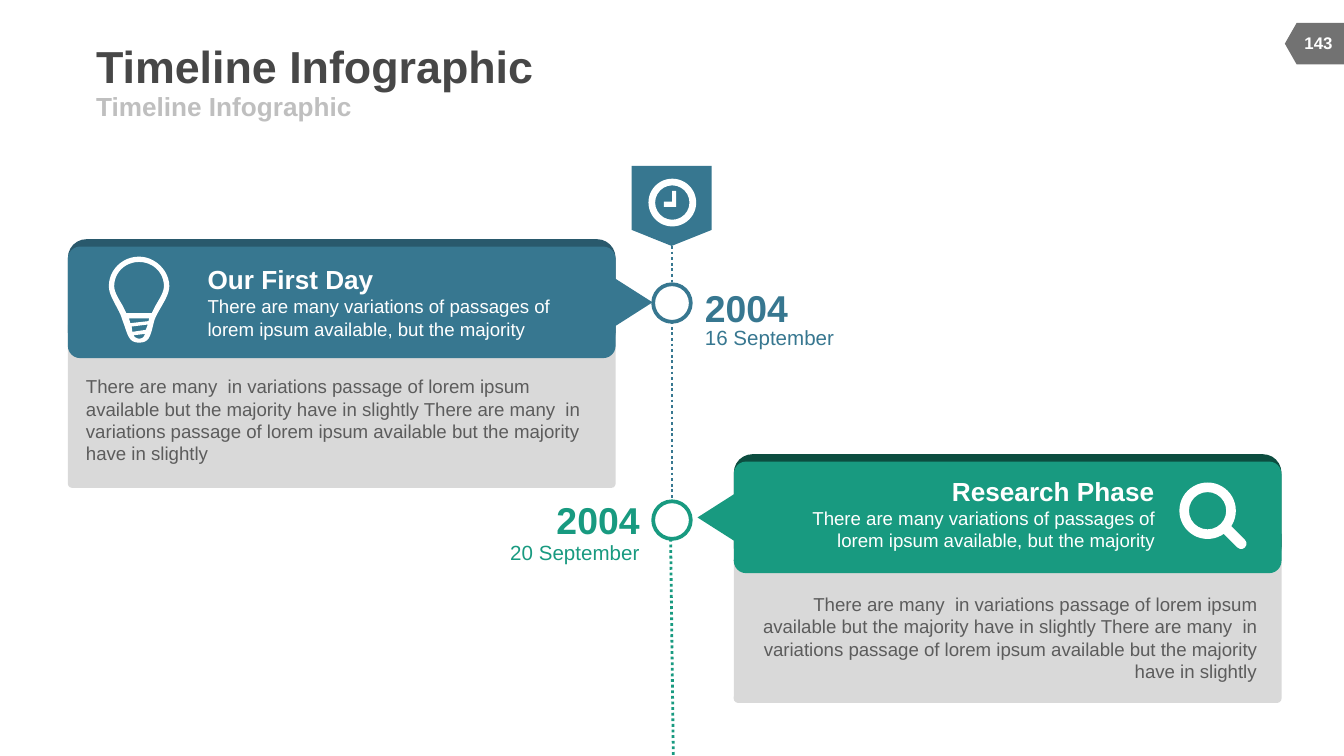
"""Build a timeline slide with two dated event cards on a dotted axis."""
from lxml import etree
from pptx import Presentation, util as u
from pptx.dml.color import RGBColor
from pptx.enum import dml, shapes, text
from pptx.oxml.ns import qn

COLORS = {
    "white": "FFFFFF", "title": "474747", "subtitle": "BFBFBF", "tag": "727272",
    "panel": "D9D9D9", "body": "5C5C5C",
    "blue": "377790", "blue_dark": "29596C", "green": "189A80", "green_dark": "0C4D40",
}
KIND = shapes.MSO_SHAPE
LEFT, CENTER, RIGHT = text.PP_ALIGN.LEFT, text.PP_ALIGN.CENTER, text.PP_ALIGN.RIGHT
TOP, MIDDLE = text.MSO_ANCHOR.TOP, text.MSO_ANCHOR.MIDDLE

deck = Presentation()
deck.slide_width = u.Inches(10)
deck.slide_height = deck.slide_width * 9 // 16
COL, ROW = deck.slide_width / 100, deck.slide_height / 56.25
slide = deck.slides.add_slide(deck.slide_layouts[6])


def draw(kind, x, y, w, h, fill, adjust=None, turn=0, outline=None):
    piece = slide.shapes.add_shape(kind, int(x * COL), int(y * ROW), int(w * COL), int(h * ROW))
    piece.shadow.inherit = False
    piece.rotation = turn
    piece.fill.solid()
    piece.fill.fore_color.rgb = RGBColor.from_string(COLORS[fill])
    if adjust is not None:
        piece.adjustments[0] = adjust
    if outline:
        piece.line.color.rgb = RGBColor.from_string(COLORS[outline])
        piece.line.width = u.Pt(2)
    else:
        piece.line.fill.background()


def write(words, x, y, w, h, size, color, bold=False, align=LEFT, anchor=MIDDLE, wrap=False):
    box = slide.shapes.add_textbox(int(x * COL), int(y * ROW), int(w * COL), int(h * ROW))
    frame = box.text_frame
    frame.margin_left = frame.margin_right = frame.margin_top = frame.margin_bottom = 0
    frame.word_wrap, frame.vertical_anchor = wrap, anchor
    frame.paragraphs[0].alignment = align
    run = frame.paragraphs[0].add_run()
    run.text = words
    run.font.name, run.font.size, run.font.bold = "Arial", u.Pt(size), bold
    run.font.color.rgb = RGBColor.from_string(COLORS[color])


draw(KIND.FLOWCHART_OFFPAGE_CONNECTOR, 96.25, 1.05, 3.1, 4.4, "tag", turn=90)
write("143", 96, 1.7, 4.2, 3, 9, "white", True, CENTER)
write("Timeline Infographic", 7.15, 2.9, 61.7, 3.9, 24, "title", True)
write("Timeline Infographic", 7.15, 6.8, 45, 2.2, 14, "subtitle", True)

for x1, y1, x2, y2, color in [(50, 18.3, 50, 21.2, "blue"), (50, 23.9, 50, 37.3, "blue"),
                              (49.9, 40.1, 50.1, 56.25, "green")]:
    axis = slide.shapes.add_connector(shapes.MSO_CONNECTOR.STRAIGHT, int(x1 * COL), int(y1 * ROW),
                                      int(x2 * COL), int(y2 * ROW))
    axis.line.color.rgb = RGBColor.from_string(COLORS[color])
    axis.line.width = u.Pt(1.5)
    axis.line.dash_style = dml.MSO_LINE.ROUND_DOT
    etree.SubElement(axis._element.spPr, qn("a:effectLst"))

summary = "There are many variations of passages of lorem ipsum available, but the majority"
sentence = "There are many  in variations passage of lorem ipsum available but the majority have in slightly"
story = f"{sentence} {sentence}"
events = [
    dict(color="blue", align=LEFT, card=(5.05, 18.35), pointer=(44, 90), ring=21.15,
         name=("Our First Day", 15.45, 19.6), summary=(15.45, 21.95), story=(6.4, 27.9),
         year=(52.45, 21.2), date=("16 September", 24.15)),
    dict(color="green", align=RIGHT, card=(54.6, 34.35), pointer=(51.35, 270), ring=37.3,
         name=("Research Phase", 58.3, 35.35), summary=(58.3, 37.7), story=(55.8, 44.1),
         year=(37.9, 36.95), date=("20 September", 40.15)),
]
for event in events:
    color, align = event["color"], event["align"]
    x, y = event["card"]
    pointer_x, turn = event["pointer"]
    draw(KIND.ROUNDED_RECTANGLE, x, y + 5.55, 40.75, 12.4, "panel", 0.025)
    draw(KIND.ROUNDED_RECTANGLE, x, y - 0.55, 40.75, 8.3, color + "_dark")
    draw(KIND.ROUNDED_RECTANGLE, x, y, 40.75, 8.3, color, 0.11)
    draw(KIND.ISOSCELES_TRIANGLE, pointer_x, y + 2.15, 5.1, 4, color, turn=turn)
    draw(KIND.OVAL, 48.6, event["ring"], 2.8, 2.8, "white", outline=color)
    name, name_x, name_y = event["name"]
    write(name, name_x, name_y, 27.6, 2.4, 14, "white", True, align)
    write(summary, *event["summary"], 27.6, 3.4, 10, "white", align=align, anchor=TOP, wrap=True)
    write(story, *event["story"], 37.7, 6.7, 10, "body", align=align, anchor=TOP, wrap=True)
    year_x, year_y = event["year"]
    date, date_y = event["date"]
    write("2004", year_x, year_y, 9.7, 3.4, 20, color, True, align)
    write(date, year_x, date_y, 9.7, 1.9, 11, color, align=align)

draw(KIND.FLOWCHART_OFFPAGE_CONNECTOR, 47, 12.35, 5.95, 5.95, "blue")
draw(KIND.DONUT, 48.25, 13.3, 3.55, 3.55, "white", 0.14)
draw(KIND.DONUT, 87.75, 35.9, 4.2, 4.2, "white", 0.17)
draw(KIND.ROUNDED_RECTANGLE, 90.5, 39.45, 2.5, 0.8, "white", 0.5, 45)

clock_hands = [[[(50, 14.2)], [(50.3, 14.2)], [(50.3, 15.4)], [(49.4, 15.4)], [(49.4, 15)], [(50, 15)]]]
bulb = [
    [[(10.35, 19.1)], [(9.1, 19.1), (8.1, 20.1), (8.1, 21.3)], [(8.1, 22.1), (8.9, 23), (9.1, 23.8)],
     [(9.5, 24.8), (9.5, 25.5), (10.35, 25.5)], [(11.2, 25.5), (11.2, 24.9), (11.5, 23.8)],
     [(11.8, 23), (12.6, 22.1), (12.6, 21.3)], [(12.6, 20.1), (11.5, 19.1), (10.35, 19.1)]],
    [[(9.8, 24.3)], [(11, 24.15)], [(10.85, 24.55)], [(9.85, 24.7)]],
    [[(9.7, 24.05)], [(9.6, 23.7)], [(11.1, 23.7)], [(11.05, 23.9)]],
    [[(10.35, 25.2)], [(10.2, 25.2), (10, 25.1), (9.95, 24.95)], [(10.8, 24.85)],
     [(10.7, 25.1), (10.6, 25.2), (10.35, 25.2)]],
    [[(11.3, 23.3)], [(9.4, 23.3)], [(9.3, 23.1), (9.2, 22.9), (9.1, 22.7)],
     [(8.8, 22.2), (8.5, 21.7), (8.5, 21.3)], [(8.5, 20.3), (9.3, 19.5), (10.35, 19.5)],
     [(11.4, 19.5), (12.2, 20.3), (12.2, 21.3)], [(12.2, 21.7), (11.9, 22.2), (11.6, 22.7)],
     [(11.5, 22.9), (11.4, 23.1), (11.3, 23.3)]],
]
for icon in (clock_hands, bulb):
    pen = None
    for contour in icon:
        trace = []
        for step in contour:
            if len(step) == 1:
                trace += step
                continue
            curve = [trace[-1], *step]
            for t in [i / 12 for i in range(1, 13)]:
                weights = [(1 - t) ** 3, 3 * t * (1 - t) ** 2, 3 * t * t * (1 - t), t ** 3]
                trace.append(tuple(sum(k * p[axis] for k, p in zip(weights, curve)) for axis in (0, 1)))
        points = [(px * COL, py * ROW) for px, py in trace]
        if pen is None:
            pen = slide.shapes.build_freeform(*points[0])
        else:
            pen.move_to(*points[0])
        pen.add_line_segments(points[1:], close=True)
    drawing = pen.convert_to_shape()
    drawing.shadow.inherit = False
    drawing.fill.solid()
    drawing.fill.fore_color.rgb = RGBColor.from_string(COLORS["white"])
    drawing.line.fill.background()

deck.save("out.pptx")
